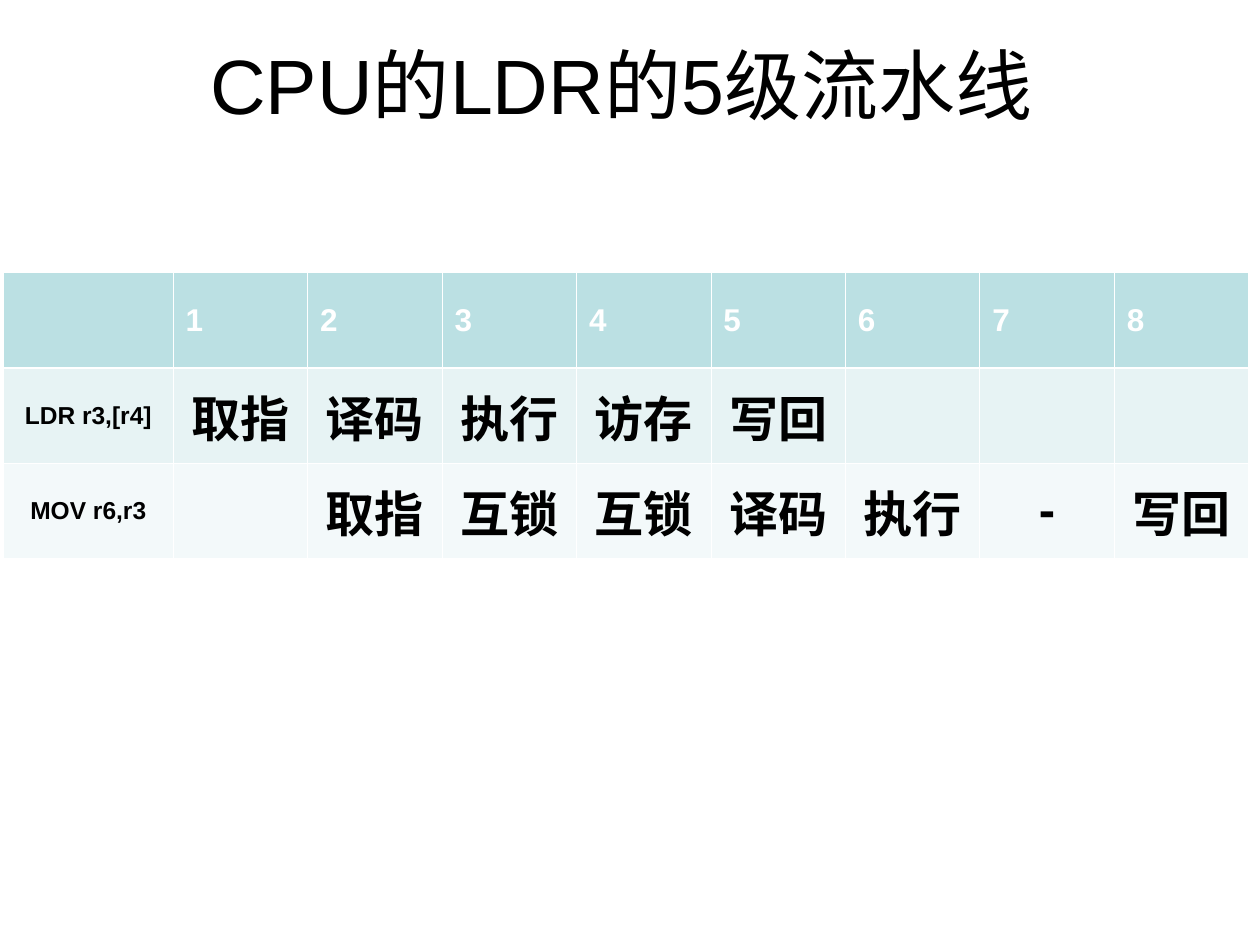
"""Build a slide showing the five-stage pipeline for LDR followed by MOV."""
import pptx
import pptx.dml.color
import pptx.enum.text
import pptx.oxml
import pptx.oxml.ns
import pptx.util
from pptx.util import Cm

TITLE = "CPU的LDR的5级流水线 "
CYCLES = ["", "1", "2", "3", "4", "5", "6", "7", "8"]
LOAD = ["LDR r3,[r4]", "取指", "译码", "执行", "访存", "写回", "", "", ""]
MOVE = ["MOV r6,r3", "", "取指", "互锁", "互锁", "译码", "执行", "-", "写回"]
COLORS = {"header": "BBE0E3", "load": "E7F3F4", "move": "F3F9FA",
          "white": "FFFFFF", "black": "000000"}
THIN, THICK = 0.45, 1.47
ROWS = [
    {"texts": CYCLES, "fill": "header", "top": THIN, "bottom": THICK},
    {"texts": LOAD, "fill": "load", "top": THICK, "bottom": THIN},
    {"texts": MOVE, "fill": "move", "top": THIN, "bottom": THIN},
]
LABEL_WIDTH, CYCLE_WIDTH, ROW_HEIGHT = 3.42, 2.71, 1.92


def color(name):
    return pptx.dml.color.RGBColor.from_string(COLORS[name])


def write(frame, text, size, ink, bold, centered):
    para = frame.paragraphs[0]
    para.text = text
    align = pptx.enum.text.PP_ALIGN
    para.alignment = align.CENTER if centered else align.LEFT
    para.font.name = "Arial"
    para.font.size = pptx.util.Pt(size)
    para.font.bold = bold
    para.font.color.rgb = color(ink)


def set_borders(cell, top, bottom):
    properties = cell._tc.get_or_add_tcPr()
    widths = {"lnL": THIN, "lnR": THIN, "lnT": top, "lnB": bottom}
    for position, (side, width) in enumerate(widths.items()):
        line = pptx.oxml.parse_xml(
            f'<a:{side} {pptx.oxml.ns.nsdecls("a")} w="{pptx.util.Pt(width)}">'
            f'<a:solidFill><a:srgbClr val="{COLORS["white"]}"/></a:solidFill></a:{side}>')
        properties.insert(position, line)


def add_title(page):
    box = page.shapes.add_textbox(Cm(1.27), Cm(0.1), Cm(22.86), Cm(3.18))
    frame = box.text_frame
    frame.word_wrap = True
    frame.vertical_anchor = pptx.enum.text.MSO_ANCHOR.MIDDLE
    write(frame, TITLE, 44, "black", False, True)


def add_pipeline(page):
    count = len(CYCLES)
    widths = [LABEL_WIDTH] + [CYCLE_WIDTH] * (count - 1)
    table = page.shapes.add_table(len(ROWS), count, Cm(0.07), Cm(5.5), Cm(sum(widths)),
                                  Cm(ROW_HEIGHT * len(ROWS))).table
    for column, width in zip(table.columns, widths):
        column.width = Cm(width)
    for row_index, row in enumerate(ROWS):
        table.rows[row_index].height = Cm(ROW_HEIGHT)
        header = row_index == 0
        for column_index, text in enumerate(row["texts"]):
            cell = table.cell(row_index, column_index)
            cell.vertical_anchor = pptx.enum.text.MSO_ANCHOR.MIDDLE
            cell.fill.solid()
            cell.fill.fore_color.rgb = color(row["fill"])
            set_borders(cell, row["top"], row["bottom"])
            size = 18 if header else 14 if column_index == 0 else 28
            write(cell.text_frame, text, size, "white" if header else "black", True, not header)


def main():
    deck = pptx.Presentation()
    deck.slide_width, deck.slide_height = Cm(25.4), Cm(19.05)
    page = deck.slides.add_slide(deck.slide_layouts[6])
    add_title(page)
    add_pipeline(page)
    deck.save("out.pptx")


if __name__ == "__main__":
    main()
